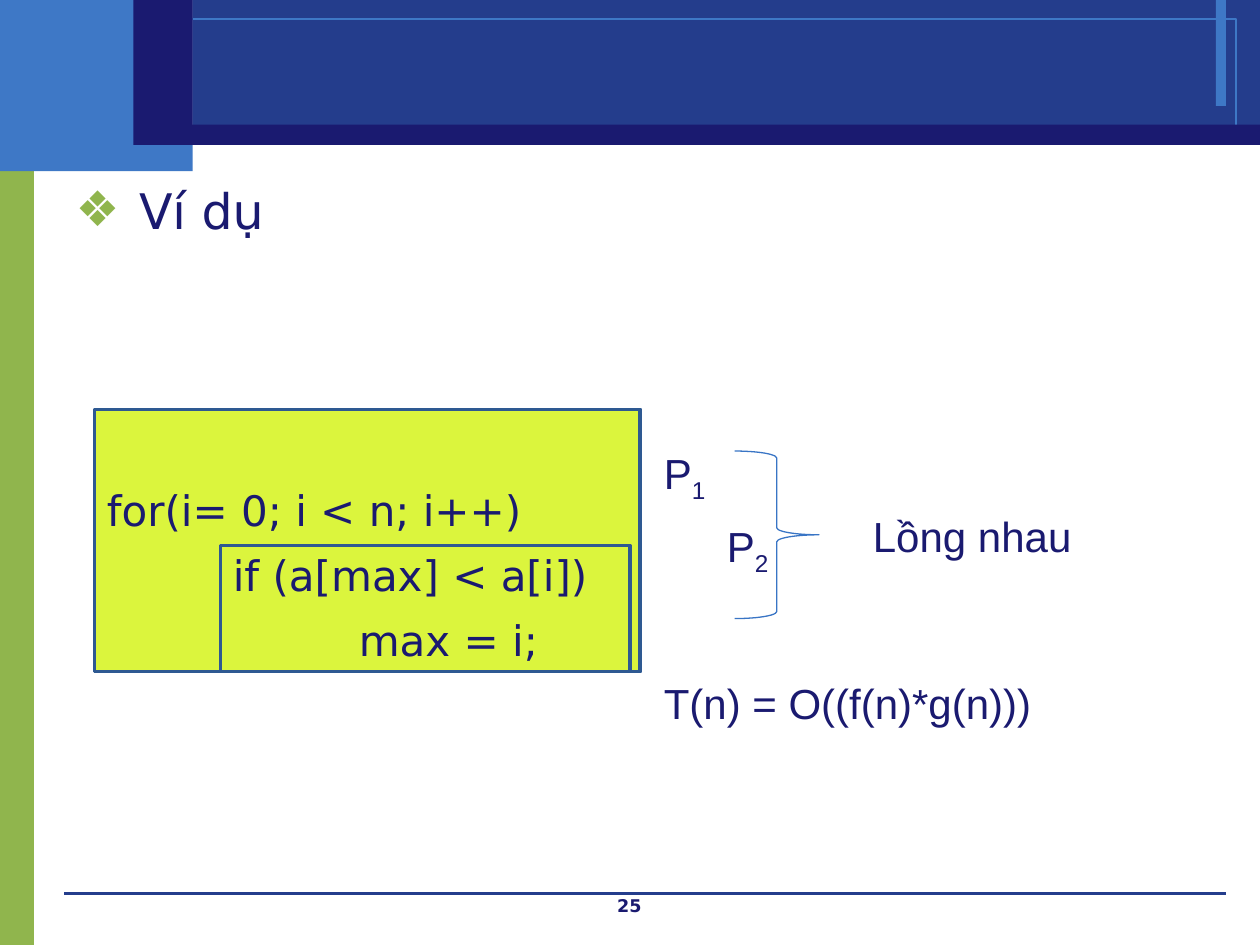
from lxml import etree
from pptx import Presentation
from pptx.dml.color import RGBColor
from pptx.enum.shapes import MSO_CONNECTOR, MSO_SHAPE
from pptx.enum.text import MSO_ANCHOR, MSO_AUTO_SIZE, PP_ALIGN
from pptx.oxml.ns import qn
from pptx.util import Inches, Pt

RECTANGLE = MSO_SHAPE.RECTANGLE
RIGHT_BRACE = MSO_SHAPE.RIGHT_BRACE
STRAIGHT = MSO_CONNECTOR.STRAIGHT
BOTTOM = MSO_ANCHOR.BOTTOM
FIT_SHAPE = MSO_AUTO_SIZE.SHAPE_TO_FIT_TEXT
NO_FIT = MSO_AUTO_SIZE.NONE
LEFT, CENTER, JUSTIFY = PP_ALIGN.LEFT, PP_ALIGN.CENTER, PP_ALIGN.JUSTIFY

NAVY, ROYAL, SKY = "1A1A70", "243D8C", "3E78C6"
GREEN, LIME, EDGE, BRACE = "90B54D", "DBF53D", "2E5992", "3975C5"
MATH = {"name": "Arial", "size": Pt(24)}
CODE = {"name": "DejaVu Sans", "size": Pt(24)}
HEADING = {"name": "DejaVu Sans", "size": Pt(28)}
NUMBER = {"name": "DejaVu Sans", "size": Pt(10), "bold": True}


def color(hex_string):
    return RGBColor.from_string(hex_string)


def place(left, top, width, height):
    return [Inches(value) for value in (left, top, width, height)]


def add_part(page, box, fill=None, line=None, weight=0, kind=RECTANGLE):
    part = page.shapes.add_shape(kind, *place(*box))
    part.shadow.inherit = False
    if fill:
        part.fill.solid()
        part.fill.fore_color.rgb = color(fill)
    else:
        part.fill.background()
    if line:
        part.line.color.rgb = color(line)
        part.line.width = Pt(weight)
    else:
        part.line.fill.background()
    return part


def add_span(para, text, style):
    span = para.add_run()
    span.text = text
    for name, value in style.items():
        setattr(span.font, name, value)
    span.font.color.rgb = color(NAVY)
    return span


def add_label(page, box, text, style, subscript="", align=LEFT, wrap=True, fit=FIT_SHAPE):
    frame = page.shapes.add_textbox(*place(*box)).text_frame
    frame.word_wrap = wrap
    frame.auto_size = fit
    para = frame.paragraphs[0]
    para.alignment = align
    add_span(para, text, style)
    if subscript:
        span = add_span(para, subscript, style)
        span._r.get_or_add_rPr().set("baseline", "-25000")


def add_banner(page, left, top, width, height):
    """Side strip, corner block, and header band within the page box."""
    right = left + width
    edge = left + 1.53
    add_part(page, (left, top + 1.07, 0.27, height - 1.07), GREEN)
    add_part(page, (left, top, 1.53, 1.36), SKY)
    add_part(page, (edge, top, right - edge, 1.15), ROYAL)
    add_part(page, (right - 0.35, top, 0.08, 0.84), SKY)
    add_part(page, (left + 0.2, top + 0.15, width - 0.39, 0.85), line=SKY)
    add_part(page, (left + 1.3, top + 0.99, width - 1.3, 0.16), NAVY)
    add_part(page, (left + 1.06, top, 0.47, 1.15), NAVY)


def add_footer(page, left, top, width):
    """Rule with the centred page number below it."""
    rule = page.shapes.add_connector(
        STRAIGHT, Inches(left), Inches(top), Inches(left + width), Inches(top))
    rule.line.color.rgb = color(ROYAL)
    rule.line.width = Pt(0)
    etree.SubElement(rule._element.spPr, qn("a:effectLst"))
    add_label(page, (3.83, top - 0.04, 2.33, 0.25), "25", NUMBER,
              align=CENTER, fit=NO_FIT)


def fill_body(page, left, top, width, height):
    """Bulleted heading in the body placeholder."""
    body = page.placeholders[1]
    body.left, body.top, body.width, body.height = place(left, top, width, height)
    para = body.text_frame.paragraphs[0]
    add_span(para, " Ví dụ", HEADING)
    props = para._p.get_or_add_pPr()
    props.set("marL", str(Inches(0.38)))
    props.set("indent", str(Inches(-0.38)))
    spacing = etree.SubElement(props, qn("a:spcBef"))
    etree.SubElement(spacing, qn("a:spcPct"), val="20000")
    bullet_color = etree.SubElement(props, qn("a:buClr"))
    etree.SubElement(bullet_color, qn("a:srgbClr"), val=GREEN)
    etree.SubElement(props, qn("a:buFont"), typeface="DejaVu Sans")
    etree.SubElement(props, qn("a:buChar"), char="❖")


def add_code(page, left, top, width, height):
    """Lime panel with the loop, and a frame around its inner block."""
    box = (left, top, width, height)
    add_part(page, box, LIME, EDGE, 2)
    frame = add_part(page, box, line=EDGE, weight=2).text_frame
    frame.word_wrap = True
    frame.vertical_anchor = BOTTOM
    lines = ["for(i= 0; i < n; i++)", "if (a[max] < a[i])", "max = i;"]
    for level, text in enumerate(lines):
        para = frame.add_paragraph() if level else frame.paragraphs[0]
        para.alignment = JUSTIFY
        para.line_spacing = 1.3
        para._p.get_or_add_pPr().set("marL", str(Inches(level)))
        add_span(para, text, CODE)
    add_part(page, (left + 1, top + height - 1, width - 1.08, 1), line=EDGE, weight=2)


def add_analysis(page, left, top):
    """Nested parts joined by a brace, with the resulting cost."""
    add_label(page, (left, top, 0.67, 0.5), "P", MATH, "1")
    add_label(page, (left + 0.5, top + 0.58, 0.67, 0.5), "P", MATH, "2")
    add_label(page, (left + 1.66, top + 0.5, 1.8, 0.5), "Lồng nhau", MATH, wrap=False)
    add_part(page, (left + 0.66, top + 0.08, 0.67, 1.33), line=BRACE,
             weight=0.75, kind=RIGHT_BRACE)
    add_label(page, (left, top + 1.83, 3.26, 0.5), "T(n) = O((f(n)*g(n)))", MATH,
              wrap=False)


def main():
    deck = Presentation()
    deck.slide_width, deck.slide_height = Inches(10), Inches(7.5)
    page = deck.slides.add_slide(deck.slide_layouts[1])
    title = page.shapes.title._element
    title.getparent().remove(title)

    add_banner(page, 0, 0, 10, 7.5)
    add_footer(page, 0.51, 7.09, 9.22)
    fill_body(page, 0.5, 1.38, 9, 5.74)
    add_code(page, 0.75, 3.25, 4.33, 2.08)
    add_analysis(page, 5.17, 3.5)
    deck.save("out.pptx")


if __name__ == "__main__":
    main()
